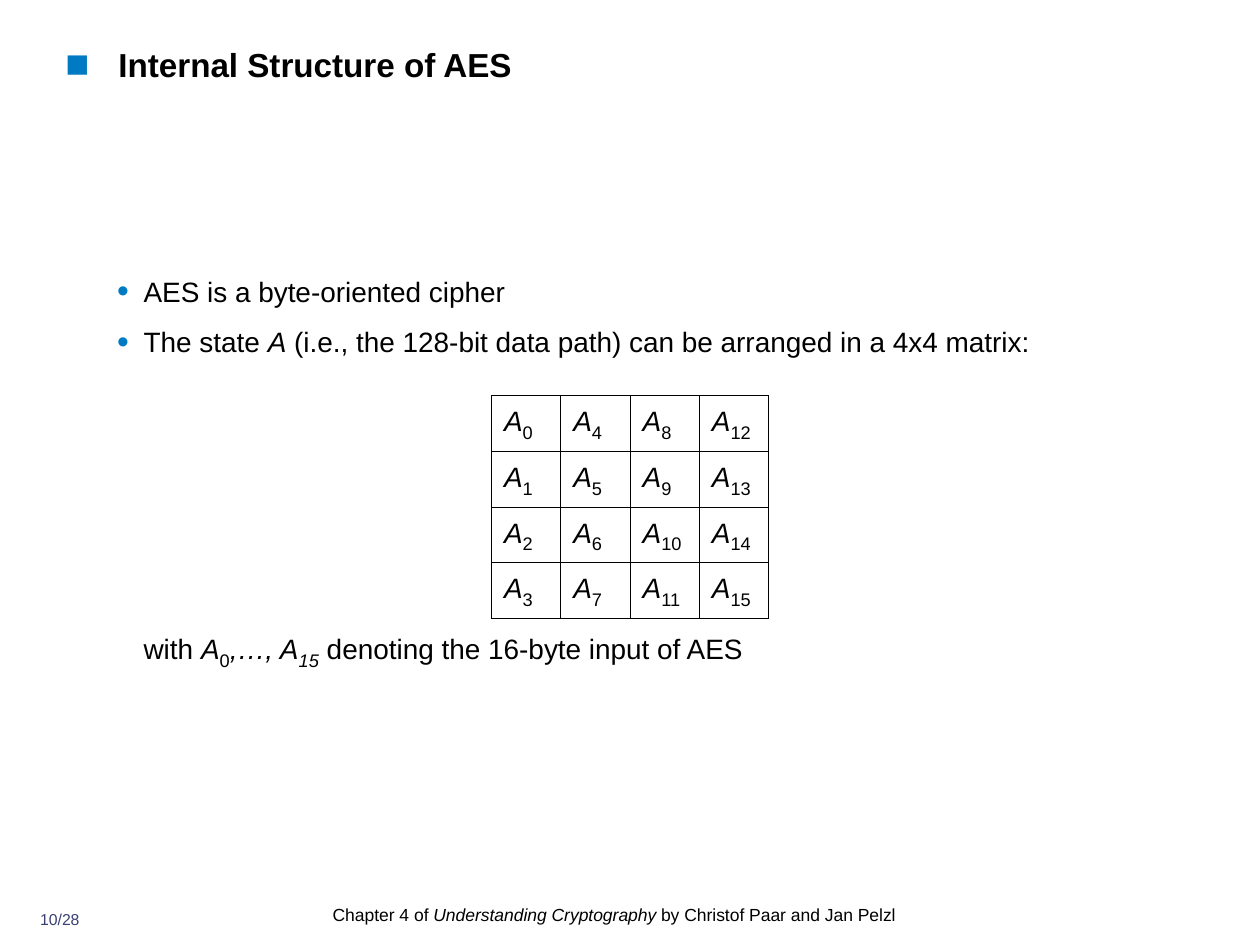
"""Build the slide on the internal structure of AES."""
from lxml import etree
from pptx import Presentation
from pptx.dml.color import RGBColor
from pptx.enum.text import MSO_ANCHOR, PP_ALIGN
from pptx.oxml.ns import qn
from pptx.util import Inches, Pt

MIDDLE, CENTER = MSO_ANCHOR.MIDDLE, PP_ALIGN.CENTER
WIDTH, HEIGHT = 10, 7.5
BLACK, BLUE, NAVY = "000000", "007AC2", "394073"
TITLE = [("Internal Structure of AES", "")]
POINTS = [
    [("AES is a byte-oriented cipher", "")],
    [("The state ", ""), ("A", "i"),
     (" (i.e., the 128-bit data path) can be arranged in a 4x4 matrix:", "")],
]
CLOSING = [("with ", ""), ("A", "i"), ("0", "s"), (",…, A", "i"), ("15", "is"),
           (" denoting the 16-byte input of AES", "")]
SOURCE = [("Chapter 4 of ", ""), ("Understanding Cryptography", "i"),
          (" by Christof Paar and Jan Pelzl", "")]
PAGE_NUMBER = [("10/28", "")]
GRID, CELL_WIDTH, CELL_HEIGHT, MATRIX_TOP = 4, 0.55, 0.44, 3.14
BODY_SIZE, SUBSCRIPT_SIZE, BODY_INDENT = 16, 18, 0.21
MATRIX_GAP = 148


def color(value):
    return RGBColor.from_string(value)


def write(para, spans, size, ink=BLACK, bold=False):
    para.font.name, para.font.size, para.font.bold = "Arial", Pt(size), bold
    para.font.color.rgb = color(ink)
    for text, style in spans:
        span = para.add_run()
        span.text = text
        if "i" in style:
            span.font.italic = True
        if "s" in style:
            span.font.size = Pt(SUBSCRIPT_SIZE)
            span.font._element.set("baseline", "-25000")


def add_box(page, left, top, width, height):
    frame = page.shapes.add_textbox(*map(Inches, (left, top, width, height))).text_frame
    frame.word_wrap = True
    frame.margin_left = frame.margin_right = frame.margin_top = frame.margin_bottom = 0
    return frame


def add_bullet(para, mark, indent):
    props = para._p.get_or_add_pPr()
    props.set("marL", str(Inches(indent)))
    props.set("indent", str(-Inches(indent)))
    tint = etree.Element(qn("a:buClr"))
    etree.SubElement(tint, qn("a:srgbClr"), val=BLUE)
    parts = [tint, etree.Element(qn("a:buSzPct"), val="120000"),
             etree.Element(qn("a:buFont"), typeface="Arial"),
             etree.Element(qn("a:buChar"), char=mark)]
    position = len(props.findall(qn("a:lnSpc")) + props.findall(qn("a:spcBef")))
    for offset, part in enumerate(parts):
        props.insert(position + offset, part)


def add_borders(cell):
    props = cell._tc.get_or_add_tcPr()
    for position, side in enumerate(("lnL", "lnR", "lnT", "lnB")):
        line = etree.Element(qn(f"a:{side}"), w=str(Pt(0.45)))
        fill = etree.SubElement(line, qn("a:solidFill"))
        etree.SubElement(fill, qn("a:srgbClr"), val=BLACK)
        props.insert(position, line)


def add_matrix(page):
    width, height = GRID * CELL_WIDTH, GRID * CELL_HEIGHT
    area = map(Inches, ((WIDTH - width) / 2, MATRIX_TOP, width, height))
    table = page.shapes.add_table(GRID, GRID, *area).table
    table.first_row = table.horz_banding = False
    for index in range(GRID * GRID):
        column, row = divmod(index, GRID)
        cell = table.cell(row, column)
        cell.fill.background()
        cell.vertical_anchor = MIDDLE
        write(cell.text_frame.paragraphs[0], [("A", "i"), (str(index), "s")], BODY_SIZE)
        add_borders(cell)


def add_body(page):
    frame = add_box(page, 0.93, 2.11, 7.98, 3.24)
    for number, spans in enumerate(POINTS + [CLOSING]):
        para = frame.add_paragraph() if number else frame.paragraphs[0]
        para.line_spacing = 1.25
        para.space_before = Pt(MATRIX_GAP if spans is CLOSING else 5)
        write(para, spans, BODY_SIZE)
        if spans is CLOSING:
            para._p.get_or_add_pPr().set("marL", str(Inches(BODY_INDENT)))
        else:
            add_bullet(para, "•", BODY_INDENT)


deck = Presentation()
deck.slide_width, deck.slide_height = Inches(WIDTH), Inches(HEIGHT)
page = deck.slides.add_slide(deck.slide_layouts[6])

title = add_box(page, 0.52, 0.35, 7.07, 0.56).paragraphs[0]
title.space_before = Pt(4.8)
write(title, TITLE, 19, bold=True)
add_bullet(title, "■", 0.42)

add_body(page)
add_matrix(page)

source = add_box(page, 2.64, 7.14, 4.73, 0.28).paragraphs[0]
source.line_spacing = 1.2
write(source, SOURCE, 10)

number = add_box(page, 0.2, 7.22, 0.55, 0.24).paragraphs[0]
number.alignment = CENTER
write(number, PAGE_NUMBER, 9, NAVY)

deck.save("out.pptx")
